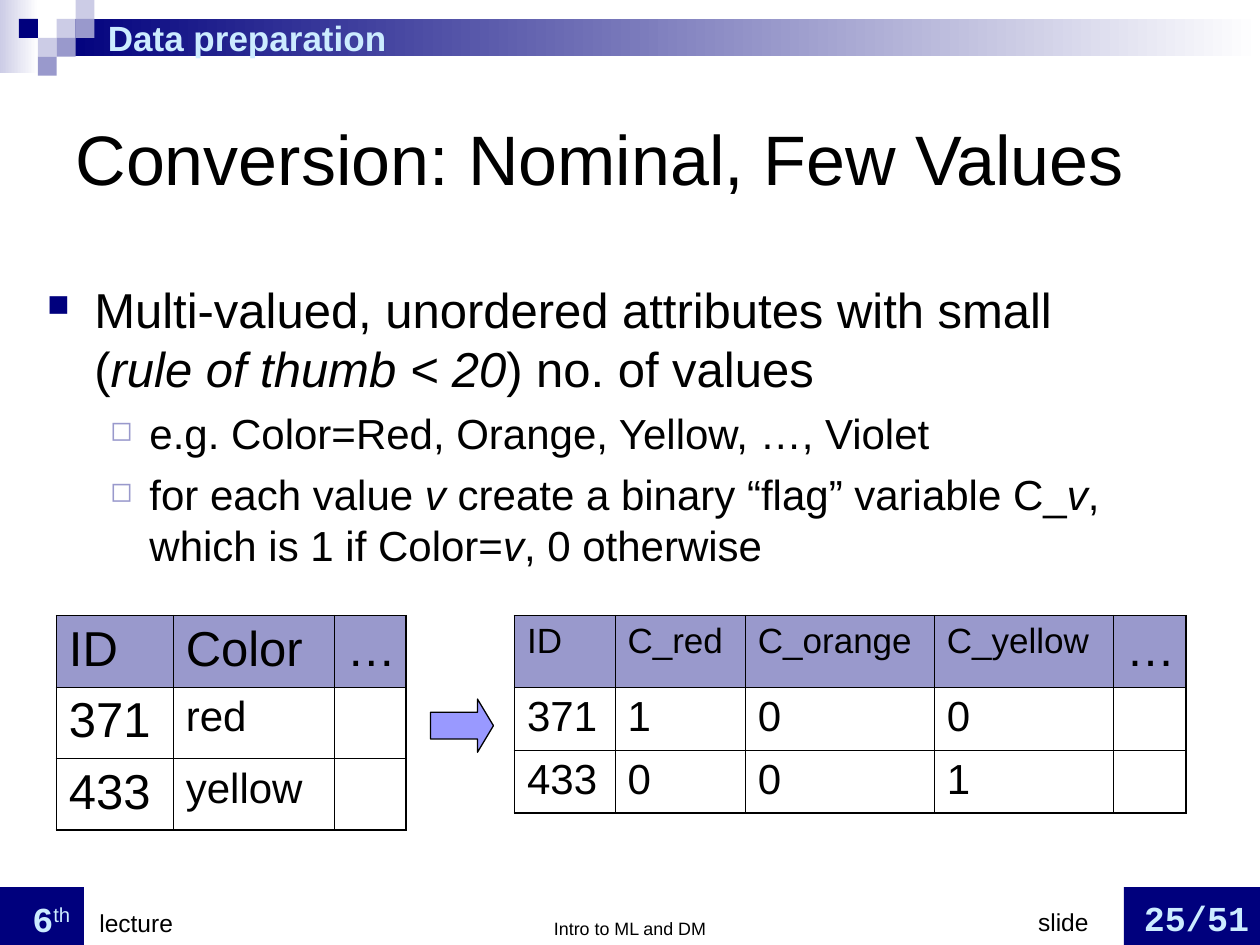
from lxml.etree import SubElement
from pptx import Presentation
from pptx.dml.color import RGBColor as RGB
from pptx.enum.shapes import MSO_SHAPE as Preset
from pptx.enum.text import MSO_ANCHOR as Anchor, PP_ALIGN as Align
from pptx.oxml.ns import qn
from pptx.util import Pt

THEME = {
    "navy": "00007D", "violet": "9999CC", "pale": "CCCCE6", "arrow": "9999FF",
    "ice": "CCECFF", "black": "000000", "white": "FFFFFF",
    "sans": "Arial", "mono": "Courier New",
    "title": 40, "large": 28, "medium": 24, "small": 20, "label": 14, "note": 10.2,
    "outer": 1.08, "inner": 0.45,
}

TITLE = "Conversion: Nominal, Few Values"
TITLE_BOX = (36, 36, 648, 108)

PLAIN = {}
ITALIC = {"italic": True}
HEADING = {"size": "small", "color": "ice", "bold": True}
NUMBER = {**HEADING, "name": "mono"}
LABEL = {"size": "label"}

BODY_BOX = (19.8, 156.2, 618.5, 176.4)
BODY = [
    (0, [("Multi-valued, unordered attributes with small (", PLAIN),
         ("rule of thumb < 20", ITALIC), (") no. of values", PLAIN)]),
    (1, [("e.g. Color=Red, Orange, Yellow, …, Violet", PLAIN)]),
    (1, [("for each value ", PLAIN), ("v ", ITALIC),
         ("create a binary “flag” variable C_", PLAIN), ("v", ITALIC),
         (", which is 1 if Color=", PLAIN), ("v", ITALIC), (", 0 otherwise", PLAIN)]),
]
LEVELS = [
    {"size": "large", "margin": 27, "hang": 27, "before": 7,
     "bullet": "■", "color": "navy", "percent": 62},
    {"size": "medium", "margin": 58.5, "hang": 22.5, "before": 6,
     "bullet": "◻", "color": "violet", "percent": 66},
]

CAPTIONS = [
    {"box": (42.5, 10.8, 493, 21), "inset": (19.2, 0.7), "anchor": Anchor.MIDDLE,
     "align": Align.LEFT, "tab": None, "runs": [("Data preparation", HEADING)]},
    {"box": (235.4, 504.4, 249.2, 36), "inset": (0, 3.6), "anchor": Anchor.BOTTOM,
     "align": Align.CENTER, "tab": None, "runs": [("Intro to ML and DM", {"size": "note"})]},
    {"box": (553, 504, 167, 36), "inset": (40.2, 3.6), "anchor": Anchor.BOTTOM,
     "align": Align.LEFT, "tab": 60.5, "runs": [("slide\t", LABEL), ("25/51", NUMBER)]},
    {"box": (-0.7, 503.3, 167.8, 37.4), "inset": (19.2, 3.6), "anchor": Anchor.BOTTOM,
     "align": Align.LEFT, "tab": 38.3,
     "runs": [("6", NUMBER), ("th", {"size": "small", "color": "ice", "baseline": 30000}),
              ("\tlecture", LABEL)]},
]

TABLES = [
    {"origin": (32.2, 351.8), "columns": (66.8, 92, 41), "rows": (40.9, 40.9, 40.9),
     "cells": [["ID", "Color", "…"], ["371", "red", ""], ["433", "yellow", ""]],
     "sizes": [["large"] * 3] + [["large", "medium", "medium"]] * 2},
    {"origin": (294, 351.8), "columns": (57.4, 74.5, 108, 102.4, 41.5), "rows": (40.9, 36, 36),
     "cells": [["ID", "C_red", "C_orange", "C_yellow", "…"],
               ["371", "1", "0", "0", ""], ["433", "0", "0", "1", ""]],
     "sizes": [["small"] * 4 + ["large"]] + [["medium"] * 5] * 2},
]

SQUARE = 10.8
SQUARES = [(3, 1, "pale"), (4, 0, "pale"), (4, 1, "violet"), (2, 2, "pale"),
           (1, 1, "navy"), (3, 2, "violet"), (2, 3, "violet")]
PANELS = [
    ((642.2, 507, 77.8, 33), ["navy"]),
    ((0, 507, 48, 33), ["navy"]),
    ((0, 0, 22, 41.8), ["pale", "white"]),
    ((32.4, 10.8, 687.6, 21.2), ["navy", "white"]),
] + [((column * SQUARE, row * SQUARE, SQUARE, SQUARE), [color])
     for column, row, color in SQUARES]
ARROW_BOX = (246, 399.5, 36, 30.4)


def points(values):
    return [Pt(value) for value in values]


def color_of(key):
    return RGB.from_string(THEME[key])


def add_panel(slide, box, colors, preset=Preset.RECTANGLE):
    shape = slide.shapes.add_shape(preset, *points(box))
    shape.shadow.inherit = False
    shape.line.fill.background()
    if len(colors) == 1:
        shape.fill.solid()
        shape.fill.fore_color.rgb = color_of(colors[0])
    else:
        shape.fill.gradient()
        shape.fill.gradient_angle = 0
        for stop, color, position in zip(shape.fill.gradient_stops, colors, (0, 1)):
            stop.color.rgb = color_of(color)
            stop.position = position
    return shape


def add_run(paragraph, text, formats):
    run = paragraph.add_run()
    run.text = text
    values = {"name": "sans", "color": "black", "bold": False, "italic": False, **formats}
    run.font.color.rgb = color_of(values.pop("color"))
    baseline = values.pop("baseline", None)
    values["name"] = THEME[values["name"]]
    values["size"] = Pt(THEME[values["size"]])
    for name, value in values.items():
        setattr(run.font, name, value)
    if baseline:
        run._r.get_or_add_rPr().set("baseline", str(baseline))


def add_element(parent, tag, **attributes):
    element = SubElement(parent, qn(tag))
    for name, value in attributes.items():
        element.set(name, str(value))
    return element


def add_text_box(slide, box, inset, anchor):
    frame = slide.shapes.add_textbox(*points(box)).text_frame
    left, top = points(inset)
    settings = {"word_wrap": True, "vertical_anchor": anchor, "margin_left": left,
                "margin_right": 0, "margin_top": top, "margin_bottom": top}
    for name, value in settings.items():
        setattr(frame, name, value)
    return frame


def add_caption(slide, caption):
    frame = add_text_box(slide, caption["box"], caption["inset"], caption["anchor"])
    paragraph = frame.paragraphs[0]
    paragraph.alignment = caption["align"]
    if caption["tab"]:
        tabs = add_element(paragraph._p.get_or_add_pPr(), "a:tabLst")
        add_element(tabs, "a:tab", pos=Pt(caption["tab"]), algn="l")
    for text, formats in caption["runs"]:
        add_run(paragraph, text, formats)


def add_body(slide):
    frame = add_text_box(slide, BODY_BOX, (7.2, 3.6), Anchor.TOP)
    for index, (level, runs) in enumerate(BODY):
        style = LEVELS[level]
        paragraph = frame.add_paragraph() if index else frame.paragraphs[0]
        paragraph.level = level
        if index:
            paragraph.space_before = Pt(style["before"])
        properties = paragraph._p.get_or_add_pPr()
        properties.set("marL", str(Pt(style["margin"])))
        properties.set("indent", str(-Pt(style["hang"])))
        color = add_element(properties, "a:buClr")
        add_element(color, "a:srgbClr", val=THEME[style["color"]])
        add_element(properties, "a:buSzPct", val=style["percent"] * 1000)
        add_element(properties, "a:buChar", char=style["bullet"])
        for text, formats in runs:
            add_run(paragraph, text, {"size": style["size"], **formats})


def format_cell(cell, edges, header):
    properties = cell._tc.get_or_add_tcPr()
    for side, is_outer in edges.items():
        width = Pt(THEME["outer" if is_outer else "inner"])
        line = add_element(properties, f"a:{side}", w=width)
        add_element(add_element(line, "a:solidFill"), "a:srgbClr", val=THEME["black"])
    if header:
        cell.fill.solid()
        cell.fill.fore_color.rgb = color_of("violet")
    else:
        cell.fill.background()


def add_data_table(slide, data):
    columns, rows = data["columns"], data["rows"]
    box = (*data["origin"], sum(columns), sum(rows))
    table = slide.shapes.add_table(len(rows), len(columns), *points(box)).table
    table.horz_banding = table.first_row = False
    for column, width in zip(table.columns, columns):
        column.width = Pt(width)
    for row, height in zip(table.rows, rows):
        row.height = Pt(height)
    for r, texts in enumerate(data["cells"]):
        for c, text in enumerate(texts):
            cell = table.cell(r, c)
            edges = {"lnL": c == 0, "lnR": c == len(columns) - 1,
                     "lnT": r == 0, "lnB": r == len(rows) - 1}
            format_cell(cell, edges, r == 0)
            if text:
                add_run(cell.text_frame.paragraphs[0], text, {"size": data["sizes"][r][c]})


def main():
    presentation = Presentation()
    presentation.slide_width, presentation.slide_height = Pt(720), Pt(540)
    slide = presentation.slides.add_slide(presentation.slide_layouts[5])
    for box, colors in PANELS:
        add_panel(slide, box, colors)
    for caption in CAPTIONS:
        add_caption(slide, caption)
    title = slide.shapes.title
    title.left, title.top, title.width, title.height = points(TITLE_BOX)
    title.text_frame.vertical_anchor = Anchor.MIDDLE
    paragraph = title.text_frame.paragraphs[0]
    paragraph.alignment = Align.LEFT
    add_run(paragraph, TITLE, {"size": "title"})
    add_body(slide)
    for data in TABLES:
        add_data_table(slide, data)
    arrow = add_panel(slide, ARROW_BOX, ["arrow"], Preset.RIGHT_ARROW)
    arrow.adjustments[1] = 0.3
    arrow.line.color.rgb = color_of("black")
    arrow.line.width = Pt(0.75)
    presentation.save("out.pptx")


if __name__ == "__main__":
    main()
